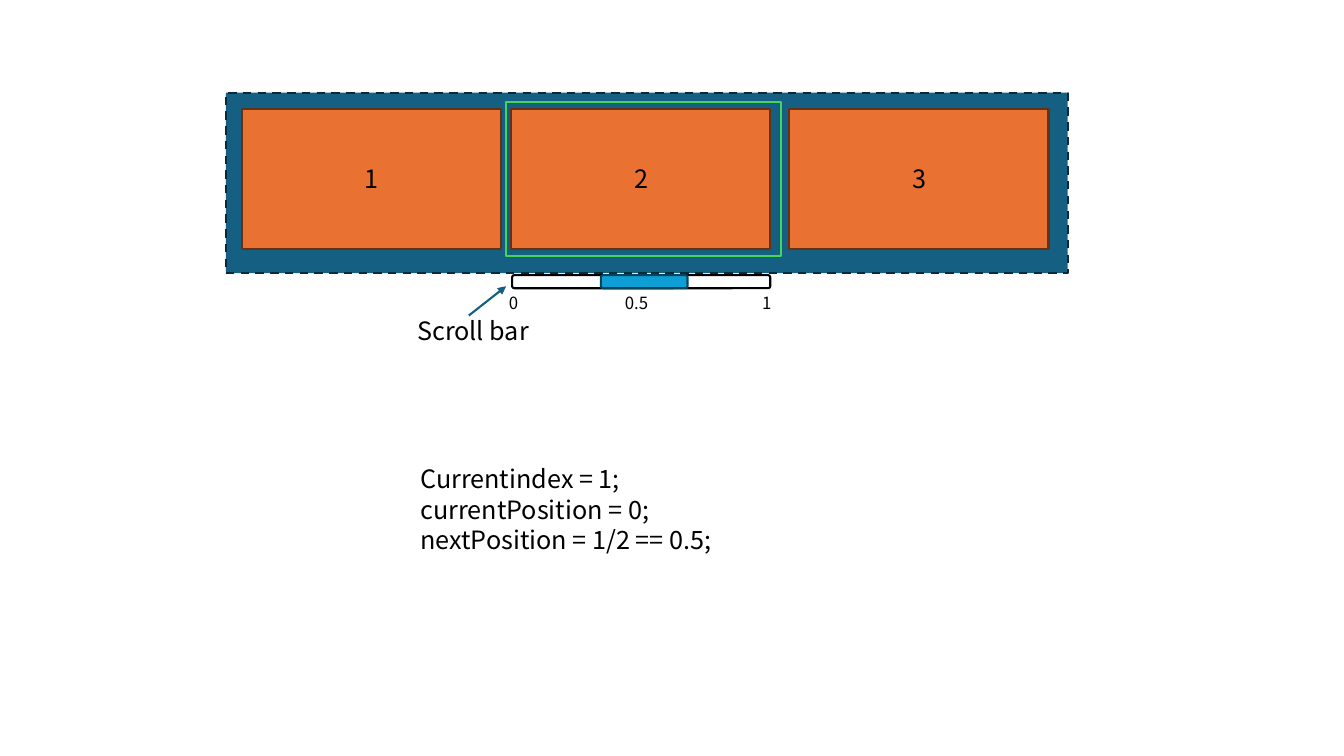
from dataclasses import dataclass
from typing import NamedTuple

from lxml import etree
from pptx import Presentation
from pptx import util as u
from pptx.dml.color import RGBColor
from pptx.enum import dml, shapes, text
from pptx.oxml.ns import qn

COLUMN = ROW = u.Inches(0.1)


@dataclass(frozen=True)
class Theme:
    font: str = "Noto Sans CJK KR"
    body: int = 18
    small: int = 12
    leading: float = 1.2
    stroke: float = 1.5
    ink: str = "000000"
    paper: str = "FFFFFF"
    teal: str = "156082"
    teal_edge: str = "092A39"
    focus: str = "47D45A"
    orange: str = "E97132"
    orange_edge: str = "663216"
    blue: str = "0F9ED5"
    blue_edge: str = "07455D"


class Area(NamedTuple):
    """A place on the grid, in columns and rows."""
    column: float
    row: float
    columns: float
    rows: float

    def emu(self) -> tuple[int, int, int, int]:
        return (round(self.column * COLUMN), round(self.row * ROW),
                round(self.columns * COLUMN), round(self.rows * ROW))


class Panel(NamedTuple):
    area: Area
    fill: str
    edge: str
    rounded: bool = False
    dashed: bool = False


class Label(NamedTuple):
    area: Area
    words: str
    size: int


THEME = Theme()
CARD_COLUMNS = (24, 50.7, 78.3)
CARD_ROW, CARD_WIDTH, CARD_HEIGHT = 10.8, 25.7, 13.9
NUMBER_INSET = 11.2
TRACK = Area(50.8, 27.3, 25.6, 1.3)
THUMB = TRACK._replace(column=59.6, columns=8.6)

PANELS = [
    Panel(Area(22.4, 9.2, 83.5, 17.9), THEME.teal, THEME.teal_edge, dashed=True),
    Panel(Area(50.2, 10.1, 27.3, 15.3), THEME.teal, THEME.focus),
    *(Panel(Area(column, CARD_ROW, CARD_WIDTH, CARD_HEIGHT),
            THEME.orange, THEME.orange_edge) for column in CARD_COLUMNS),
    Panel(TRACK, THEME.paper, THEME.ink, rounded=True),
    Panel(THUMB, THEME.blue, THEME.blue_edge, rounded=True),
]
LABELS = [
    *(Label(Area(column + NUMBER_INSET, 15.7, 3.7, 4), str(number), THEME.body)
      for number, column in enumerate(CARD_COLUMNS, start=1)),
    *(Label(Area(column, 28.6, columns, 3), position, THEME.small)
      for position, column, columns in
      (("0", 49.5, 3.6), ("0.5", 61, 6.4), ("1", 74.6, 3.6))),
    Label(Area(40.4, 30.8, 13.4, 4), "Scroll bar", THEME.body),
    Label(Area(40.7, 45.5, 38.1, 10.1),
          "Currentindex = 1;\ncurrentPosition = 0;\nnextPosition = 1/2 == 0.5;",
          THEME.body),
]


def draw_panel(slide, panel: Panel) -> None:
    kind = (shapes.MSO_SHAPE.ROUNDED_RECTANGLE if panel.rounded
            else shapes.MSO_SHAPE.RECTANGLE)
    box = slide.shapes.add_shape(kind, *panel.area.emu())
    box.shadow.inherit = False
    box.fill.solid()
    box.fill.fore_color.rgb = RGBColor.from_string(panel.fill)
    box.line.color.rgb = RGBColor.from_string(panel.edge)
    box.line.width = u.Pt(THEME.stroke)
    if panel.dashed:
        box.line.dash_style = dml.MSO_LINE.DASH


def draw_label(slide, label: Label) -> None:
    frame = slide.shapes.add_textbox(*label.area.emu()).text_frame
    frame.text = label.words
    frame.word_wrap = True
    frame.auto_size = text.MSO_AUTO_SIZE.SHAPE_TO_FIT_TEXT
    for paragraph in frame.paragraphs:
        paragraph.line_spacing = u.Pt(label.size * THEME.leading)
        for run in paragraph.runs:
            run.font.name = THEME.font
            run.font.size = u.Pt(label.size)
            run.font.color.rgb = RGBColor.from_string(THEME.ink)


def draw_arrow(slide, start: tuple[float, float], end: tuple[float, float]) -> None:
    ends = [round(length * unit) for point in (start, end)
            for length, unit in zip(point, (COLUMN, ROW))]
    arrow = slide.shapes.add_connector(shapes.MSO_CONNECTOR.STRAIGHT, *ends)
    arrow.line.color.rgb = RGBColor.from_string(THEME.teal)
    arrow.line.width = u.Pt(THEME.stroke)
    etree.SubElement(arrow.line._get_or_add_ln(), qn("a:tailEnd"), type="triangle")
    etree.SubElement(arrow._element.spPr, qn("a:effectLst"))


def main() -> None:
    deck = Presentation()
    deck.slide_width, deck.slide_height = u.Inches(13.33), u.Inches(7.5)
    slide = deck.slides.add_slide(deck.slide_layouts.get_by_name("Blank"))
    for panel in PANELS:
        draw_panel(slide, panel)
    draw_arrow(slide, start=(46.5, 31.3), end=(50.2, 28.4))
    for label in LABELS:
        draw_label(slide, label)
    deck.save("out.pptx")


if __name__ == "__main__":
    main()
